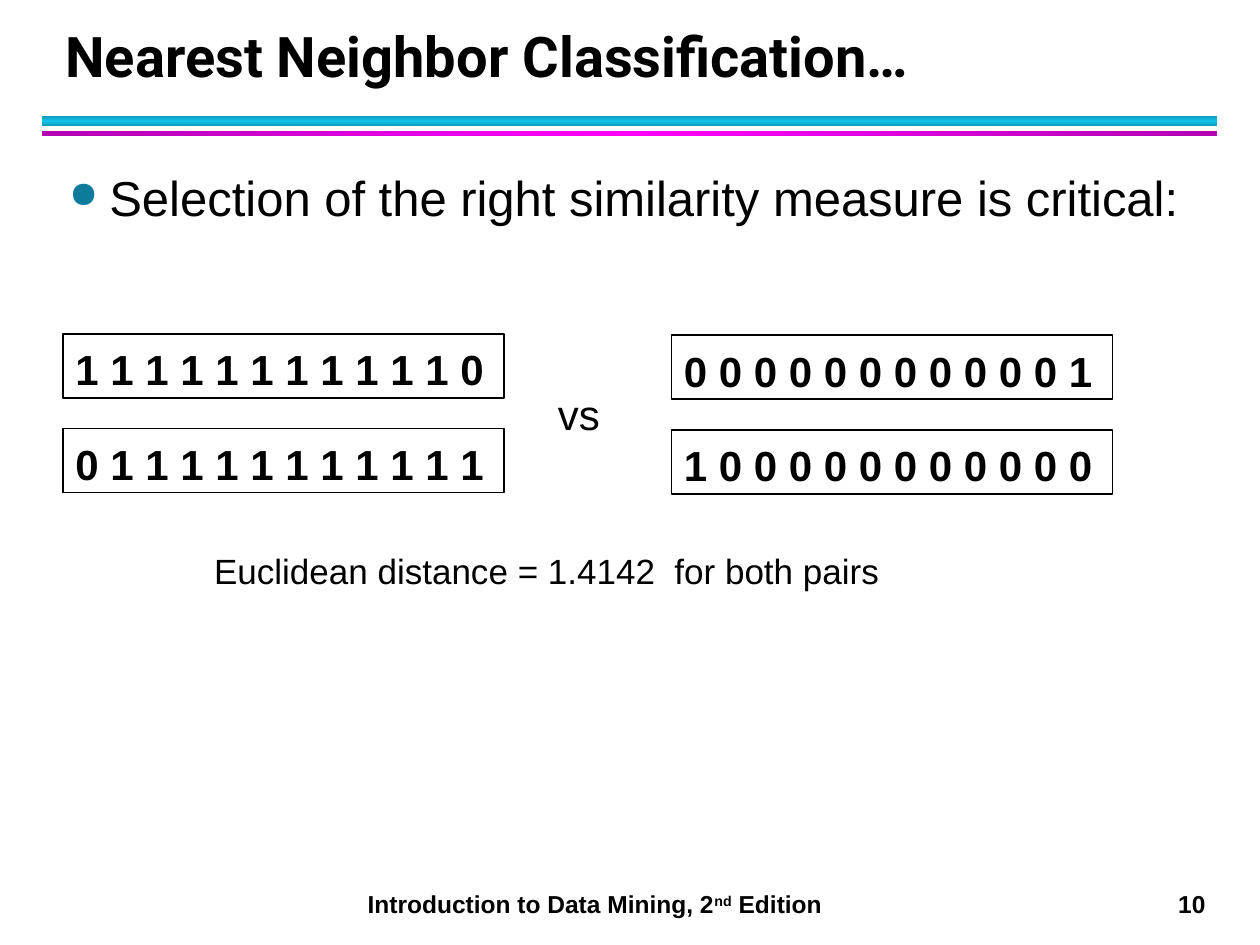
import copy

import pptx
import pptx.dml.color
import pptx.enum.shapes
import pptx.enum.text
import pptx.oxml.ns
import pptx.util
import lxml.etree

Inches = pptx.util.Inches
Pt = pptx.util.Pt
Anchor = pptx.enum.text.MSO_ANCHOR
qn = pptx.oxml.ns.qn

TITLE = "Nearest Neighbor Classification…"
POINT = "Selection of the right similarity measure is critical:"
FOOTER = [("\tIntroduction to Data Mining, 2", False), ("nd", True), (" Edition\t10", False)]
FOOTER_TABS = [("l", 2.32), ("r", 8.97)]
VERSUS = "vs"
RESULT = "Euclidean distance = 1.4142  for both pairs"
VECTOR_PAIRS = [
    (0.5, 2.65, ["1 1 1 1 1 1 1 1 1 1 1 0", "0 1 1 1 1 1 1 1 1 1 1 1"]),
    (5.33, 2.66, ["0 0 0 0 0 0 0 0 0 0 0 1", "1 0 0 0 0 0 0 0 0 0 0 0"]),
]
VECTOR_SIZE = (3.5, 0.51)
VECTOR_PITCH = 0.75
COLORS = {
    "text": "000000",
    "bullet": "0C7B9C",
    "cyan_edge": "0E9BBA",
    "cyan": "12C2E9",
    "magenta_edge": "B200B2",
    "magenta": "FF00FF",
}
RULES = [
    (0.92, 0.08, "cyan_edge", "cyan", 90),
    (1.04, 0.04, "magenta_edge", "magenta", 0),
]


def rgb(name):
    return pptx.dml.color.RGBColor.from_string(COLORS[name])


def add_rectangle(page, *area):
    kind = pptx.enum.shapes.MSO_SHAPE.RECTANGLE
    box = page.shapes.add_shape(kind, *map(Inches, area))
    box.shadow.inherit = False
    return box


def add_rule(page, top, height, edge, middle, angle):
    bar = add_rectangle(page, 0.33, top, 9.33, height)
    bar.line.fill.background()
    bar.fill.gradient()
    bar.fill.gradient_angle = angle
    stop_list = bar._element.spPr.find(".//" + qn("a:gsLst"))
    stop_list.append(copy.deepcopy(stop_list[0]))
    for stop, name, position in zip(bar.fill.gradient_stops, (edge, middle, edge), (0, 0.5, 1)):
        stop.color.rgb = rgb(name)
        stop.position = position


def style(para, size, bold=False, font="Arial"):
    para.alignment = pptx.enum.text.PP_ALIGN.LEFT
    para.font.size = Pt(size)
    para.font.bold = bold
    para.font.name = font
    para.font.color.rgb = rgb("text")


def prepare(box, top_margin=0.08, anchor=Anchor.TOP):
    frame = box.text_frame
    frame.word_wrap = True
    frame.margin_top = Inches(top_margin)
    frame.vertical_anchor = anchor
    return frame.paragraphs[0]


def add_text(page, area, text, size, **look):
    para = prepare(page.shapes.add_textbox(*map(Inches, area)))
    para.text = text
    style(para, size, **look)
    return para


def add_footer(page):
    para = prepare(page.shapes.add_textbox(*map(Inches, (0.5, 7, 9.33, 0.34))), 0.06)
    tabs = lxml.etree.SubElement(para._p.get_or_add_pPr(), qn("a:tabLst"))
    for side, position in FOOTER_TABS:
        lxml.etree.SubElement(tabs, qn("a:tab"), pos=str(Inches(position)), algn=side)
    for text, raised in FOOTER:
        span = para.add_run()
        span.text = text
        if raised:
            span._r.get_or_add_rPr().set("baseline", "30000")
    style(para, 14, bold=True)


def add_title(page):
    para = add_text(page, (0.42, 0.17, 9.06, 0.58), TITLE, 32, bold=True, font="Roboto")
    para.line_spacing = Pt(36)
    prepare(page.shapes[-1], 0.05, Anchor.BOTTOM)


def add_point(page):
    para = prepare(page.shapes.add_textbox(*map(Inches, (0.45, 1.25, 9.1, 5.67))))
    para.text = POINT
    properties = para._p.get_or_add_pPr()
    properties.set("marL", str(Inches(0.32)))
    properties.set("indent", str(-Inches(0.32)))
    color = lxml.etree.SubElement(properties, qn("a:buClr"))
    lxml.etree.SubElement(color, qn("a:srgbClr"), val=COLORS["bullet"])
    lxml.etree.SubElement(properties, qn("a:buSzPct"), val="75000")
    lxml.etree.SubElement(properties, qn("a:buChar"), char="●")
    style(para, 28)


def add_vector(page, left, top, text):
    box = add_rectangle(page, left, top, *VECTOR_SIZE)
    box.fill.background()
    box.line.color.rgb = rgb("text")
    box.line.width = Pt(1)
    para = prepare(box)
    para.text = text
    style(para, 24, bold=True)


def main():
    deck = pptx.Presentation()
    deck.slide_width, deck.slide_height = Inches(10), Inches(7.5)
    page = deck.slides.add_slide(deck.slide_layouts[6])
    for rule in RULES:
        add_rule(page, *rule)
    add_footer(page)
    add_title(page)
    add_point(page)
    for left, top, vectors in VECTOR_PAIRS:
        for row, text in enumerate(vectors):
            add_vector(page, left, top + row * VECTOR_PITCH, text)
    add_text(page, (4.33, 3, 0.61, 0.67), VERSUS, 24)
    add_text(page, (1.6, 4.28, 6.08, 0.44), RESULT, 20)
    deck.save("out.pptx")


if __name__ == "__main__":
    main()
